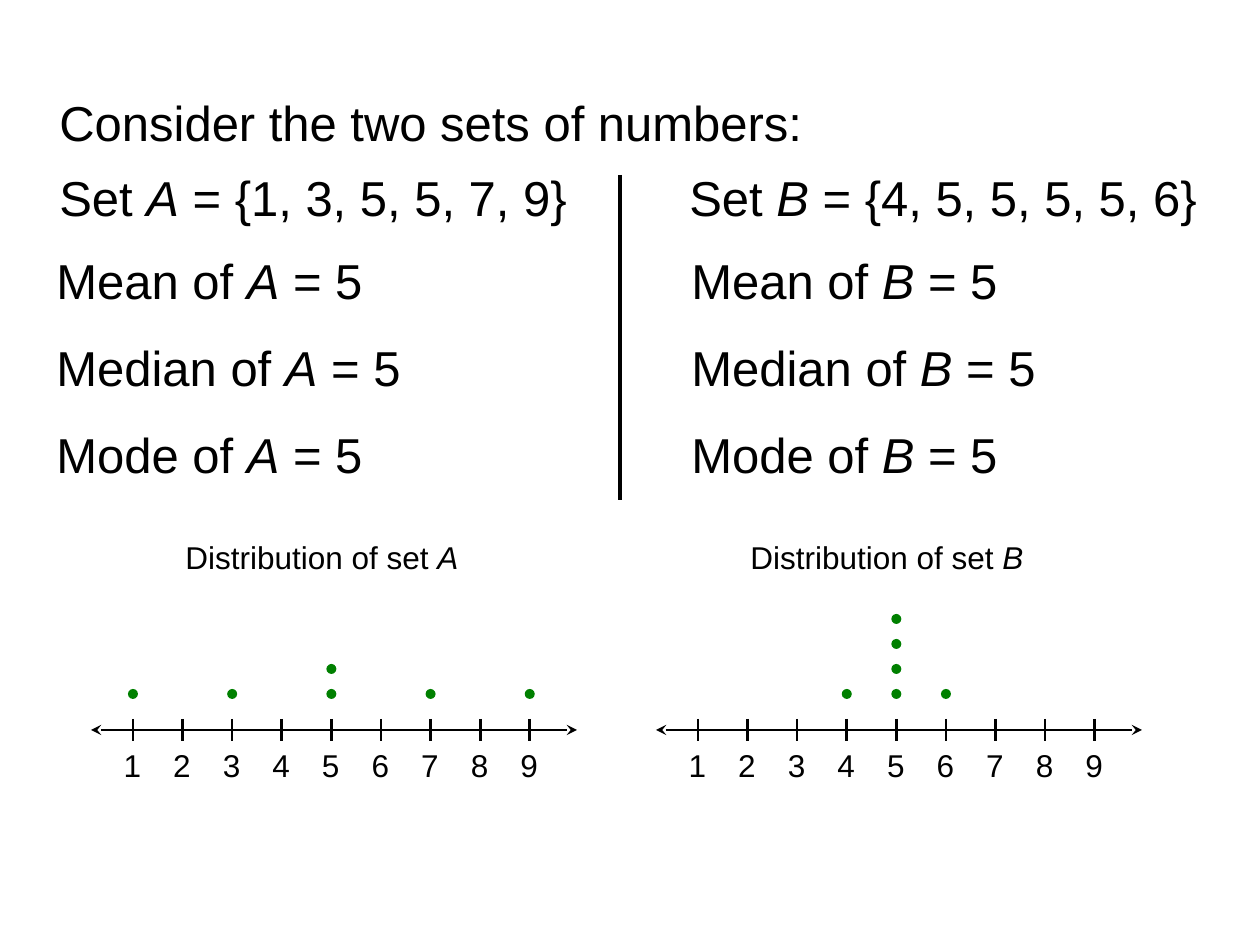
from collections import Counter
from dataclasses import dataclass

from lxml import etree
from pptx import Presentation, util as u
from pptx.dml.color import RGBColor
from pptx.enum import shapes, text
from pptx.oxml import ns

PX_PER_INCH = 126


@dataclass(frozen=True)
class Theme:
    font: str = "Arial"
    ink: RGBColor = RGBColor(0, 0, 0)
    dot: RGBColor = RGBColor(0, 0x80, 0)
    body: int = 28
    small: int = 18
    divider: float = 1.75
    axis: float = 1.5


@dataclass(frozen=True)
class NumberSet:
    name: str
    values: tuple[int, ...]
    facts_left: int
    plot_left: int


THEME = Theme()
SETS = (
    NumberSet("A", (1, 3, 5, 5, 7, 9), 44, 91),
    NumberSet("B", (4, 5, 5, 5, 5, 6), 679, 656),
)
SCALE = range(1, 10)
AXIS_Y, AXIS_LENGTH = 730, 486
FIRST_TICK, TICK_STEP, TICK_HALF = 42, 49.6, 11
DOT_SIZE, DOT_BASE, DOT_STEP = 10, 694, 25
INSET = 13


def px(length: float) -> int:
    return u.Inches(length / PX_PER_INCH)


def add_text(slide, parts, left: int, top: int, width: int, height: int, *,
             size: int = THEME.body, wrap: bool = True, tabs=(), tab_align: str = "l") -> None:
    """Write text parts in turn; every second part is italic."""
    frame = slide.shapes.add_textbox(px(left), px(top), px(width), px(height)).text_frame
    frame.word_wrap = wrap
    frame.auto_size = text.MSO_AUTO_SIZE.SHAPE_TO_FIT_TEXT
    paragraph = frame.paragraphs[0]
    paragraph.alignment = text.PP_ALIGN.LEFT
    if tabs:
        stops = etree.SubElement(paragraph._p.get_or_add_pPr(), ns.qn("a:tabLst"))
        for stop in tabs:
            etree.SubElement(stops, ns.qn("a:tab"), pos=str(px(stop)), algn=tab_align)
    for index, part in enumerate(parts):
        run = paragraph.add_run()
        run.text = part
        run.font.name = THEME.font
        run.font.size = u.Pt(size)
        run.font.italic = index % 2 == 1
        run.font.color.rgb = THEME.ink


def add_line(slide, x1: float, y1: int, x2: float, y2: int, *,
             weight: float = THEME.axis, arrows: bool = False) -> None:
    line = slide.shapes.add_connector(
        shapes.MSO_CONNECTOR.STRAIGHT, px(x1), px(y1), px(x2), px(y2))
    line.line.color.rgb = THEME.ink
    line.line.width = u.Pt(weight)
    if arrows:
        outline = line.line._get_or_add_ln()
        for end in ("a:headEnd", "a:tailEnd"):
            etree.SubElement(outline, ns.qn(end), type="stealth")
    etree.SubElement(line._element.spPr, ns.qn("a:effectLst"))


def add_dot(slide, x: float, y: int) -> None:
    dot = slide.shapes.add_shape(
        shapes.MSO_SHAPE.OVAL, px(x - DOT_SIZE / 2), px(y - DOT_SIZE / 2),
        px(DOT_SIZE), px(DOT_SIZE))
    dot.shadow.inherit = False
    dot.fill.solid()
    dot.fill.fore_color.rgb = THEME.dot
    dot.line.fill.background()


def add_facts(slide, numbers: NumberSet) -> None:
    for row, (measure, width) in enumerate((("Mean", 333), ("Median", 370), ("Mode", 333))):
        add_text(slide, (f"{measure} of ", numbers.name, " = 5"),
                 numbers.facts_left, 244 + 87 * row, width, 72, wrap=False)


def add_dot_plot(slide, numbers: NumberSet) -> None:
    left = numbers.plot_left
    add_text(slide, ("Distribution of set ", numbers.name), left + 82, 532, 394, 50,
             size=THEME.small)

    # Number line with its ticks and labels
    add_line(slide, left, AXIS_Y, left + AXIS_LENGTH, AXIS_Y, arrows=True)
    offsets = {value: FIRST_TICK + TICK_STEP * (value - 1) for value in SCALE}
    for offset in offsets.values():
        add_line(slide, left + offset, AXIS_Y - TICK_HALF, left + offset, AXIS_Y + TICK_HALF)
    add_text(slide, ("".join(f"\t{value}" for value in SCALE),), left, 740, 557, 50,
             size=THEME.small, tabs=[offset - INSET for offset in offsets.values()],
             tab_align="ctr")

    # One dot per value, stacked where values repeat
    for value, count in Counter(numbers.values).items():
        for level in range(count):
            add_dot(slide, left + offsets[value], DOT_BASE - DOT_STEP * level)


def main() -> None:
    deck = Presentation()
    deck.slide_width, deck.slide_height = px(1260), px(945)
    slide = deck.slides.add_slide(deck.slide_layouts[6])

    # Heading and the two sets
    add_text(slide, ("Consider the two sets of numbers:",), 47, 86, 911, 72)
    lists = ["{" + ", ".join(map(str, numbers.values)) + "}" for numbers in SETS]
    add_text(slide, ("Set ", "A", f" = {lists[0]}\tSet ", "B", f" = {lists[1]}"),
             47, 161, 1213, 72, tabs=[630])

    # Averages and distributions either side of the divider
    add_line(slide, 620, 175, 620, 500, weight=THEME.divider)
    for numbers in SETS:
        add_facts(slide, numbers)
        add_dot_plot(slide, numbers)

    deck.save("out.pptx")


if __name__ == "__main__":
    main()
